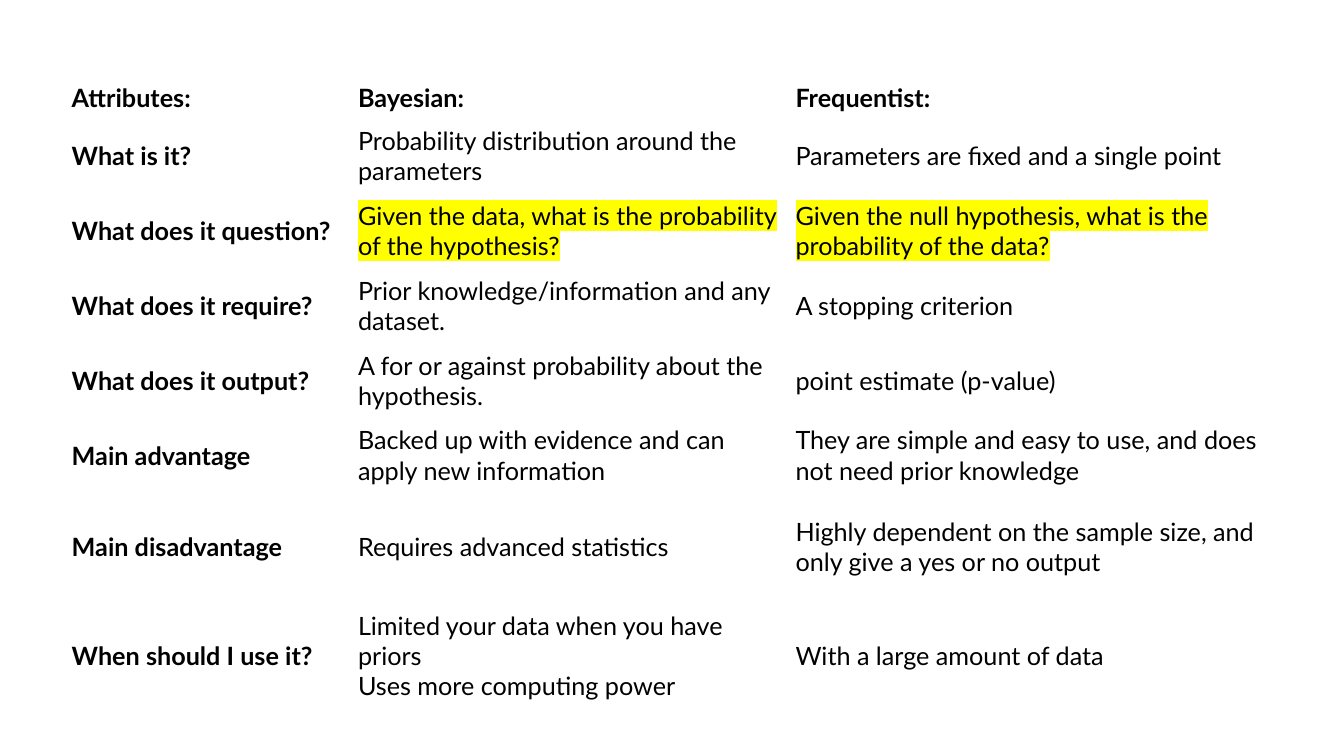
from lxml.etree import SubElement
from pptx import Presentation
from pptx.dml.color import RGBColor
from pptx.enum.text import MSO_ANCHOR
from pptx.oxml.ns import qn
from pptx.util import Pt

COLORS = {"text": "000000", "highlight": "FFFF00"}
COLUMN_WIDTHS = [204.5, 312.5, 350]
ROW_HEIGHTS = [29.5] + [53.5] * 5 + [77.75] * 2
HIGHLIGHTED_ROW = 2

COMPARISON = [
    ("Attributes:", "Bayesian:", "Frequentist:"),
    ("What is it?",
     "Probability distribution around the parameters",
     "Parameters are fixed and a single point"),
    ("What does it question?",
     "Given the data, what is the probability of the hypothesis?",
     "Given the null hypothesis, what is the probability of the data?"),
    ("What does it require?",
     "Prior knowledge/information and any dataset.",
     "A stopping criterion"),
    ("What does it output?",
     "A for or against probability about the hypothesis.",
     "point estimate (p-value)"),
    ("Main advantage",
     "Backed up with evidence and can apply new information",
     "They are simple and easy to use, and does not need prior knowledge"),
    ("Main disadvantage",
     "Requires advanced statistics",
     "Highly dependent on the sample size, and only give a yes or no output"),
    ("When should I use it?",
     "Limited your data when you have priors\nUses more computing power",
     "With a large amount of data"),
]


class SlideBuilder:
    font_name = "Lato"
    font_size = Pt(18)
    cell_margin = Pt(2.25)

    def __init__(self, slide):
        self.slide = slide

    def table(self, left, top, rows, widths, heights, highlighted_row):
        """Add a plain table with a bold first row and first column."""
        frame = self.slide.shapes.add_table(
            len(rows), len(widths), Pt(left), Pt(top),
            Pt(sum(widths)), Pt(sum(heights)))
        table = frame.table
        table.horz_banding = False
        table.first_row = False
        for column, width in zip(table.columns, widths):
            column.width = Pt(width)
        for row, height in zip(table.rows, heights):
            row.height = Pt(height)
        for r, entries in enumerate(rows):
            for c, entry in enumerate(entries):
                self.cell(table.cell(r, c), entry, bold=r == 0 or c == 0,
                          highlighted=r == highlighted_row and c > 0)

    def cell(self, cell, entry, bold, highlighted):
        cell.fill.background()
        cell.vertical_anchor = MSO_ANCHOR.MIDDLE
        cell.margin_left = cell.margin_right = self.cell_margin
        cell.margin_top = cell.margin_bottom = self.cell_margin
        cell.text_frame.text = entry
        for paragraph in cell.text_frame.paragraphs:
            for run in paragraph.runs:
                run.font.size = self.font_size
                run.font.bold = bold
                run.font.color.rgb = RGBColor.from_string(COLORS["text"])
                if highlighted:
                    self.highlight(run)
                run.font.name = self.font_name

    def highlight(self, run):
        """Mark the run; must precede setting its font name (schema order)."""
        mark = SubElement(run.font._element, qn("a:highlight"))
        SubElement(mark, qn("a:srgbClr"), val=COLORS["highlight"])


def main():
    presentation = Presentation()
    presentation.slide_width = Pt(960)
    presentation.slide_height = Pt(540)
    blank_layout = presentation.slide_layouts[6]
    builder = SlideBuilder(presentation.slides.add_slide(blank_layout))
    builder.table(49, 55, COMPARISON, COLUMN_WIDTHS, ROW_HEIGHTS,
                  HIGHLIGHTED_ROW)
    presentation.save("out.pptx")


if __name__ == "__main__":
    main()
